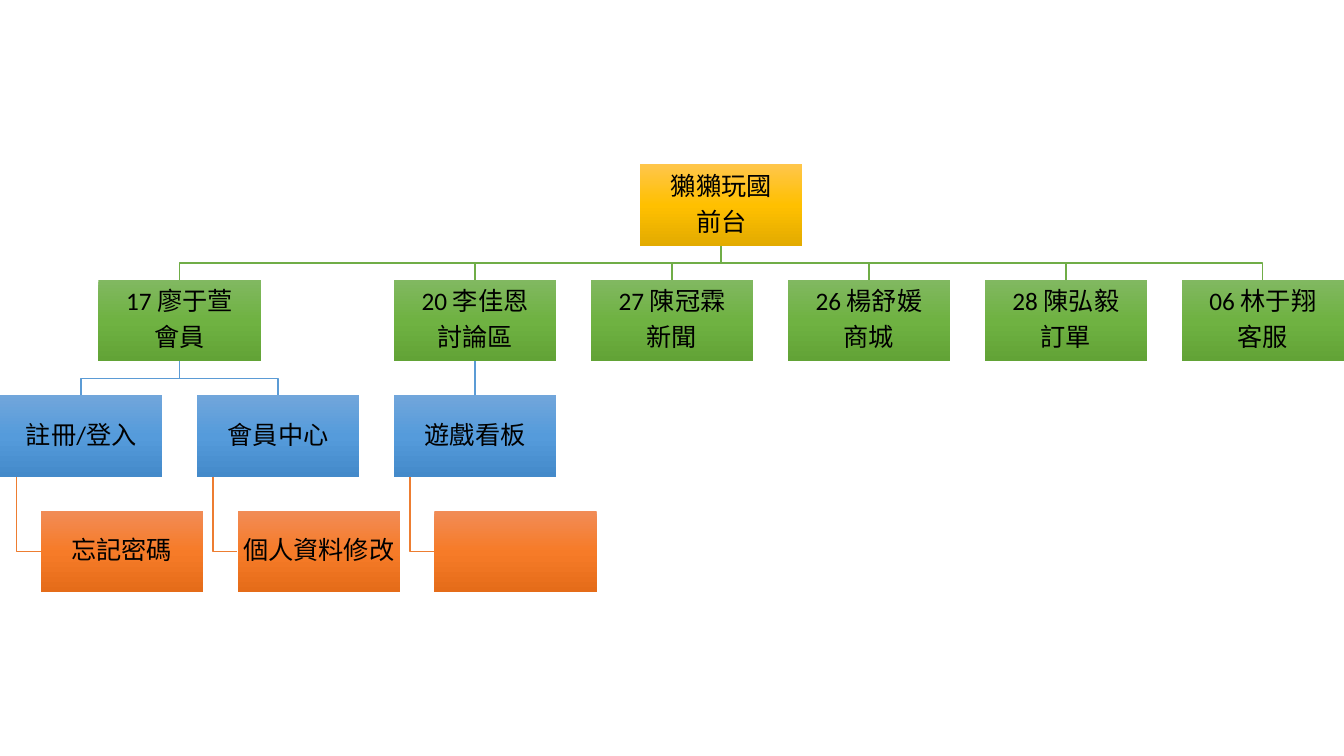
from copy import deepcopy
from dataclasses import dataclass, field
from itertools import count

from pptx import Presentation
from pptx.dml.color import RGBColor
from pptx.enum.shapes import MSO_CONNECTOR, MSO_SHAPE
from pptx.enum.text import MSO_ANCHOR, PP_ALIGN
from pptx.oxml.ns import qn
from pptx.oxml.xmlchemy import OxmlElement
from pptx.util import Inches, Pt

SLIDE_WIDTH, SLIDE_HEIGHT = 13.33, 7.5

# Grid: seven columns fill the slide's width, four rows are evenly spaced
BOX_WIDTH, BOX_HEIGHT = 1.61, 0.81
COLUMN_STEP = (SLIDE_WIDTH - BOX_WIDTH) / 6
ROW_STEP = 1.145
FIRST_ROW_TOP = 1.63
HANG_INDENT = BOX_WIDTH / 4
HANG_STEM = BOX_WIDTH / 10

# One gradient and one connector colour for each level
GRADIENTS = [
    ("FFC64B", "FFC000", "E3AB00"),
    ("81B861", "6FB242", "62A336"),
    ("71A6DB", "559BDB", "448ACA"),
    ("F18C57", "F67B28", "E56C19"),
]
LINE_COLORS = [None, "70AD47", "5B9BD5", "ED7D31"]
HANGING_LEVEL = 3


@dataclass
class Node:
    lines: list
    children: list = field(default_factory=list)
    level: int = 0
    left: float = 0

    @property
    def top(self):
        return FIRST_ROW_TOP + self.level * ROW_STEP

    @property
    def center(self):
        return self.left + BOX_WIDTH / 2

    @property
    def bottom(self):
        return self.top + BOX_HEIGHT


def color(hex_string):
    return RGBColor.from_string(hex_string)


def write_text(shape, lines, font="Calibri", size=18, text_color="000000",
               line_spacing=0.9, space_after=35, inset=0.01):
    frame = shape.text_frame
    frame.word_wrap = True
    frame.vertical_anchor = MSO_ANCHOR.MIDDLE
    frame.margin_left = frame.margin_right = Inches(inset)
    frame.margin_top = frame.margin_bottom = Inches(inset)
    frame.text = "\n".join(lines)
    for paragraph in frame.paragraphs:
        paragraph.alignment = PP_ALIGN.CENTER
        paragraph.line_spacing = line_spacing
        paragraph.space_after = Pt(0)
        # Space after as a percentage of the text size
        spacing = paragraph._p.pPr.find(qn("a:spcAft"))
        spacing.clear()
        percent = OxmlElement("a:spcPct")
        percent.set("val", str(space_after * 1000))
        spacing.append(percent)
        for run in paragraph.runs:
            run.font.name = font
            run.font.size = Pt(size)
            run.font.color.rgb = color(text_color)


class ChartSlide:
    """Holds the slide and the style of the organisation chart."""

    line_width = Pt(1)

    def __init__(self, presentation):
        self.slide = presentation.slides.add_slide(presentation.slide_layouts[6])
        self.shapes = self.slide.shapes

    def box(self, node):
        shape = self.shapes.add_shape(
            MSO_SHAPE.RECTANGLE, Inches(node.left), Inches(node.top),
            Inches(BOX_WIDTH), Inches(BOX_HEIGHT))
        shape.shadow.inherit = False
        shape.line.fill.background()
        self.gradient(shape, GRADIENTS[node.level])
        if node.lines:
            write_text(shape, node.lines)

    def gradient(self, shape, colors):
        shape.fill.gradient()
        shape.fill.gradient_angle = 270
        stops = shape.element.spPr.find(".//" + qn("a:gsLst"))
        stops.insert(1, deepcopy(stops[0]))
        for index, (stop, shade) in enumerate(zip(shape.fill.gradient_stops, colors)):
            stop.position = index / 2
            stop.color.rgb = color(shade)

    def link(self, points, line_color):
        points = [(Inches(x), Inches(y)) for x, y in points]
        if len({x for x, y in points}) == 1:
            line = self.shapes.add_connector(
                MSO_CONNECTOR.STRAIGHT, *points[0], *points[-1])
            line.element.spPr.append(OxmlElement("a:effectLst"))
        else:
            builder = self.shapes.build_freeform(*points[0])
            builder.add_line_segments(points[1:], close=False)
            line = builder.convert_to_shape()
            line.fill.background()
            line.shadow.inherit = False
        line.line.color.rgb = color(line_color)
        line.line.width = self.line_width


def place(node, columns, level=0):
    """Give leaves the next free column and centre parents over children."""
    node.level = level
    if level + 1 < HANGING_LEVEL and node.children:
        for child in node.children:
            place(child, columns, level + 1)
        node.left = (node.children[0].left + node.children[-1].left) / 2
    else:
        node.left = next(columns) * COLUMN_STEP
        for child in node.children:
            child.level = level + 1
            child.left = node.left + HANG_INDENT


def walk(node):
    yield node
    for child in node.children:
        yield from walk(child)


def route(parent, child):
    if child.level == HANGING_LEVEL:
        stem, middle = parent.left + HANG_STEM, child.top + BOX_HEIGHT / 2
        return [(stem, parent.bottom), (stem, middle), (child.left, middle)]
    middle = (parent.bottom + child.top) / 2
    return [(parent.center, parent.bottom), (parent.center, middle),
            (child.center, middle), (child.center, child.top)]


presentation = Presentation()
presentation.slide_width = Inches(SLIDE_WIDTH)
presentation.slide_height = Inches(SLIDE_HEIGHT)
chart = ChartSlide(presentation)

# Site front end, its members and their pages
front_end = Node(["獺獺玩國", "前台"], [
    Node(["17 廖于萱", "會員"], [
        Node(["註冊/登入"], [Node(["忘記密碼"])]),
        Node(["會員中心"], [Node(["個人資料修改"])]),
    ]),
    Node(["20 李佳恩", "討論區"], [Node(["遊戲看板"], [Node([])])]),
    Node(["27 陳冠霖", "新聞"]),
    Node(["26 楊舒媛", "商城"]),
    Node(["28 陳弘毅", "訂單"]),
    Node(["06 林于翔", "客服"]),
])
place(front_end, count())

# Connectors lie behind the boxes
for parent in walk(front_end):
    for child in parent.children:
        chart.link(route(parent, child), LINE_COLORS[child.level])
for node in walk(front_end):
    chart.box(node)

presentation.save("out.pptx")
